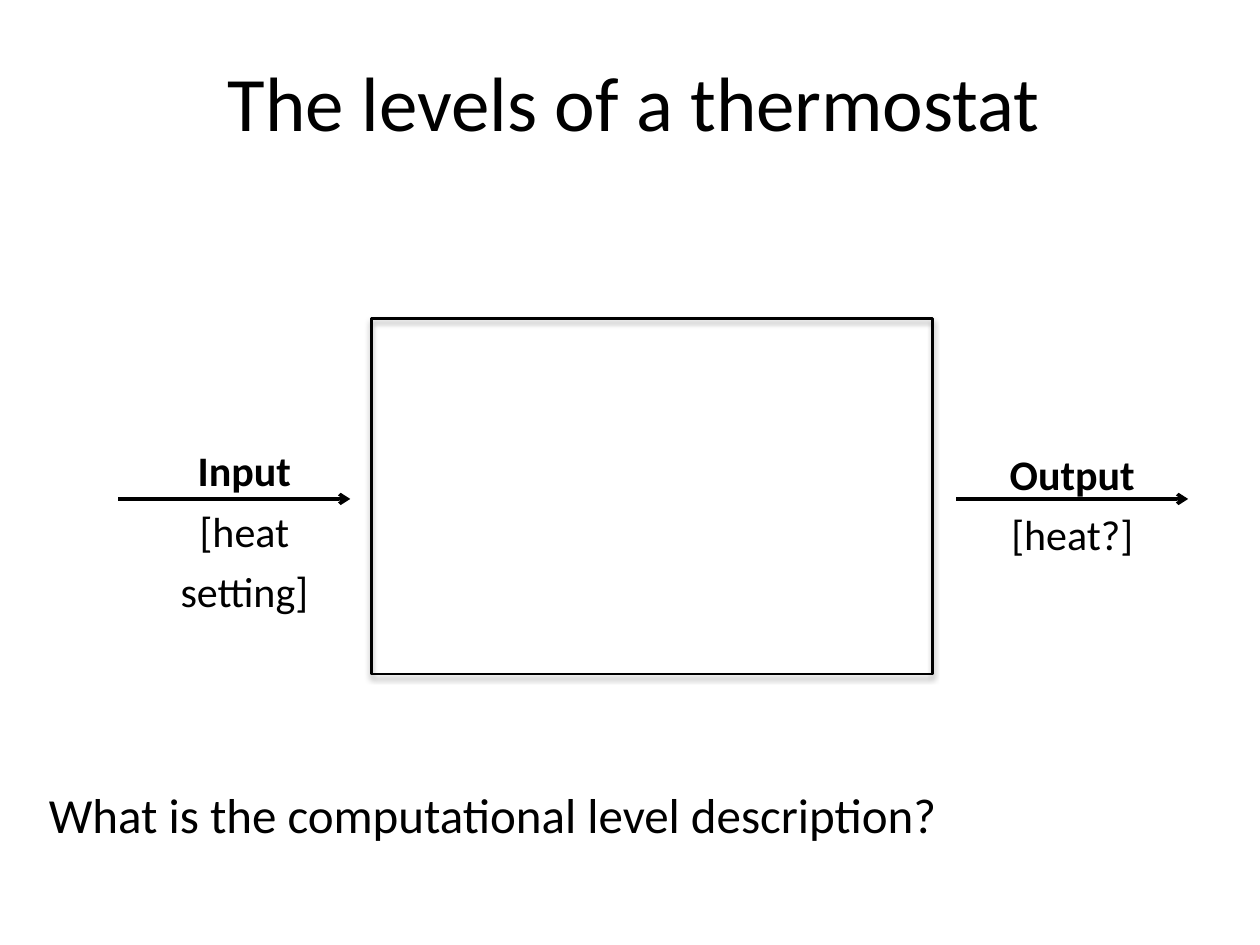
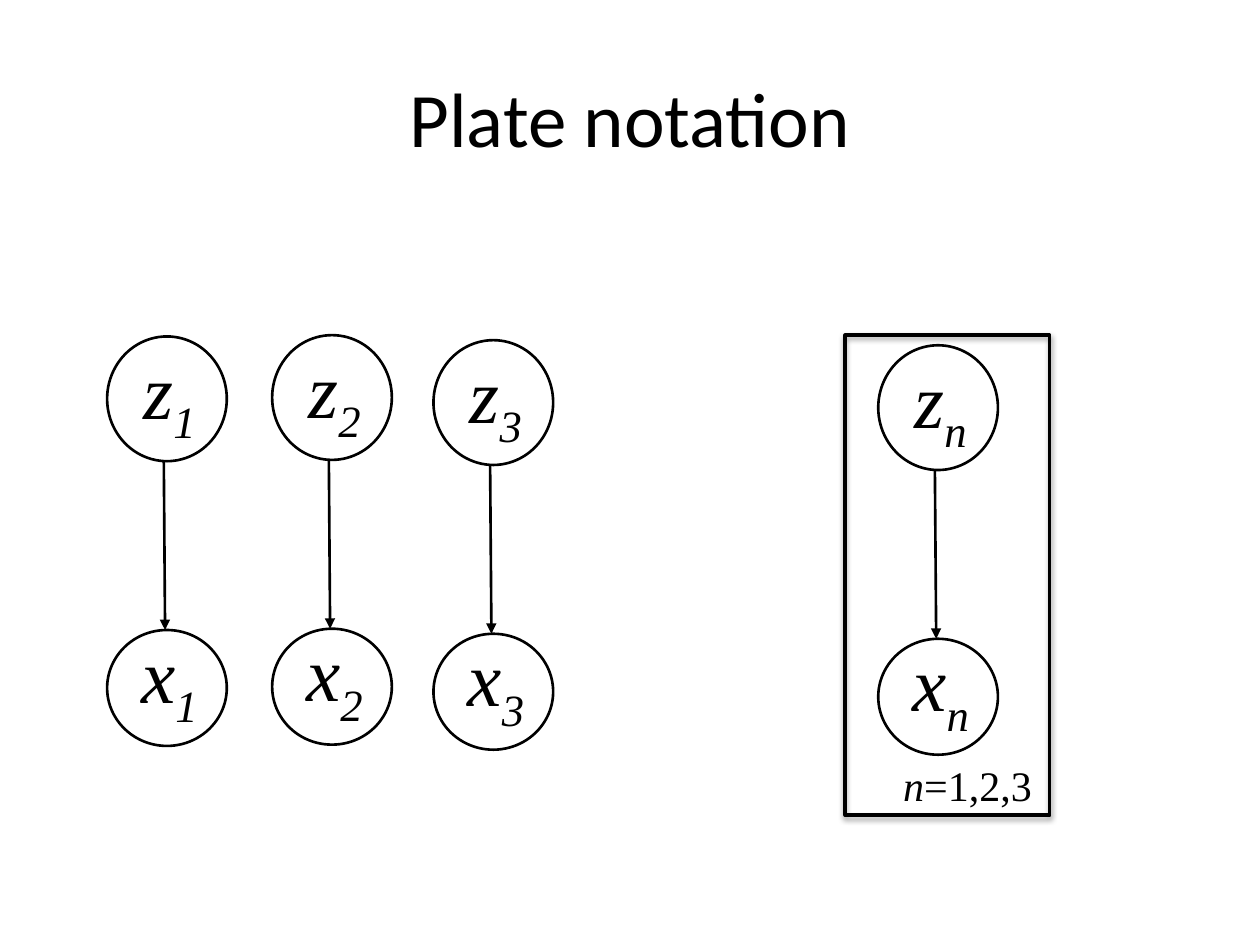
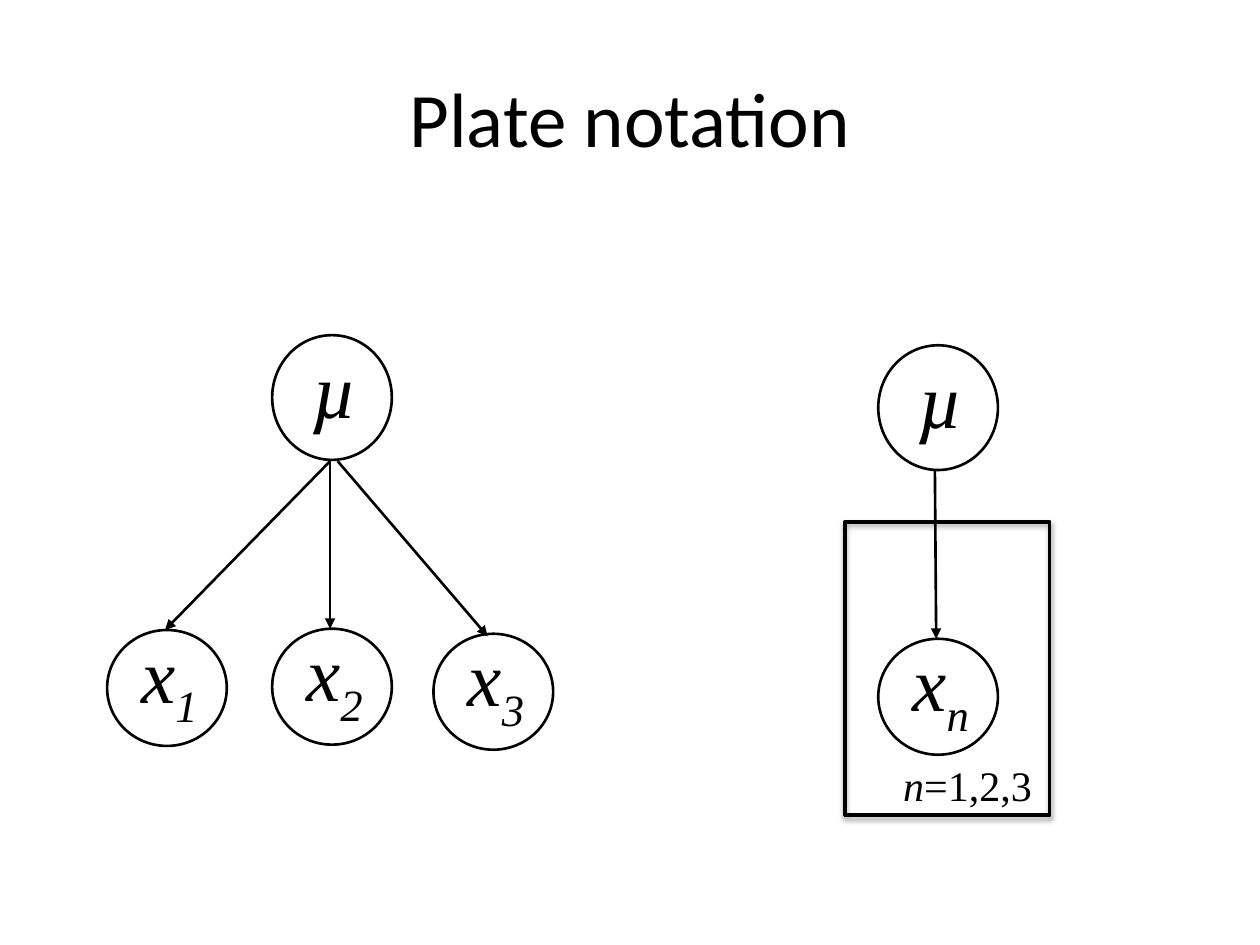
import pptx
import pptx.dml.color
import pptx.enum.shapes
import pptx.enum.text
import pptx.oxml
import pptx.oxml.ns
import pptx.util

COLUMNS, ROWS = 10, 7.5
INK = "000000"
SANS, SERIF = "Calibri", "Times New Roman"
CENTER = pptx.enum.text.PP_ALIGN.CENTER
LEFT = pptx.enum.text.PP_ALIGN.LEFT

# Graph nodes: each row is (vertical offset within a chain, height)
NODE_WIDTH = 0.95
PARENT, CHILD = (0, 0.99), (2.33, 0.92)
CHAINS = [("1", 0.85, 2.67), ("2", 2.16, 2.66), ("3", 3.44, 2.7)]
PLATE_CHAIN = (6.97, 2.74)

deck = pptx.Presentation()
deck.slide_width = pptx.util.Inches(10)
deck.slide_height = pptx.util.Inches(7.5)


def across(columns):
    return round(deck.slide_width * columns / COLUMNS)


def down(rows):
    return round(deck.slide_height * rows / ROWS)


def area(left, top, width, height):
    return across(left), down(top), across(width), down(height)


def color(hex_code):
    return pptx.dml.color.RGBColor.from_string(hex_code)


def add_xml(parent, tag, content="", **attributes):
    listed = "".join(f' {key}="{value}"' for key, value in attributes.items())
    namespace = pptx.oxml.ns.nsdecls("a")
    parent.append(pptx.oxml.parse_xml(
        f"<a:{tag} {namespace}{listed}>{content}</a:{tag}>"))


def ink_line(shape, weight):
    shape.line.color.rgb = color(INK)
    shape.line.width = pptx.util.Pt(weight)


def outline(shapes, kind, box, weight):
    """Unfilled shape with a black outline."""
    shape = shapes.add_shape(kind, *area(*box))
    shape.shadow.inherit = False
    shape.fill.background()
    ink_line(shape, weight)
    return shape


def frame(shapes, box, weight):
    """Rectangle with a soft shadow below."""
    rectangle = outline(shapes, pptx.enum.shapes.MSO_SHAPE.RECTANGLE, box, weight)
    effects = rectangle._element.spPr.find(pptx.oxml.ns.qn("a:effectLst"))
    add_xml(effects, "outerShdw",
            f'<a:srgbClr val="{INK}"><a:alpha val="35000"/></a:srgbClr>',
            blurRad=40000, dist=23000, dir=5400000, rotWithShape=0)


def arrow(shapes, start, end, weight=1.5, head="triangle"):
    connector = shapes.add_connector(
        pptx.enum.shapes.MSO_CONNECTOR.STRAIGHT,
        across(start[0]), down(start[1]), across(end[0]), down(end[1]))
    ink_line(connector, weight)
    add_xml(connector.line._get_or_add_ln(), "tailEnd", type=head)
    add_xml(connector._element.spPr, "effectLst")


def text_frame(shapes, box, wrap=True):
    frame_of_text = shapes.add_textbox(*area(*box)).text_frame
    frame_of_text.word_wrap = wrap
    return frame_of_text


def style(paragraph, size, font=SANS, align=LEFT, bold=False, italic=False):
    paragraph.alignment = align
    paragraph.font.size = pptx.util.Pt(size)
    paragraph.font.name = font
    paragraph.font.bold = bold
    paragraph.font.italic = italic
    paragraph.font.color.rgb = color(INK)


def titled_slide(title, box=(0.5, 0.3, 9, 1.25)):
    slide = deck.slides.add_slide(deck.slide_layouts[6])
    heading = text_frame(slide.shapes, box)
    heading.vertical_anchor = pptx.enum.text.MSO_ANCHOR.MIDDLE
    heading.text = title
    style(heading.paragraphs[0], 44, align=CENTER)
    return slide.shapes


def port_label(shapes, box, name, value):
    """Bold port name above its bracketed value."""
    label = text_frame(shapes, box)
    label.text = f"{name}\n{value}"
    for paragraph, bold in zip(label.paragraphs, (True, False)):
        style(paragraph, 24, align=CENTER, bold=bold)
        paragraph.line_spacing = 1.2


def node(shapes, left, top, row, symbol, index=""):
    """Circled variable with an optional subscript."""
    offset, height = row
    outline(shapes, pptx.enum.shapes.MSO_SHAPE.OVAL,
            (left, top + offset, NODE_WIDTH, height), 1.5)
    lift = 0.08 if row == CHILD else 0
    label = text_frame(shapes, (left + 0.15, top + offset - lift, 0.69, 0.84), wrap=False)
    variable = label.paragraphs[0]
    variable.add_run().text = symbol
    if index:
        subscript = variable.add_run()
        subscript.text = index
        subscript.font._element.set("baseline", "-25000")
    style(variable, 44, SERIF, CENTER, italic=True)


def chain(slide_shapes, left, top, parent, child):
    """Grouped parent and child nodes joined by an arrow."""
    shapes = slide_shapes.add_group_shape().shapes
    node(shapes, left, top, PARENT, *parent)
    node(shapes, left, top, CHILD, *child)
    arrow(shapes, (left + 0.45, top + PARENT[1]), (left + 0.46, top + CHILD[0]))


def plate(shapes, top, parent):
    """Chain for index n, with the repeated part framed from the given row."""
    chain(shapes, *PLATE_CHAIN, parent, "xn")
    frame(shapes, (6.71, top, 1.62, 6.47 - top), 2.25)
    count = text_frame(shapes, (7.07, 5.98, 1.23, 0.5), wrap=False).paragraphs[0]
    index = count.add_run()
    index.text = "n"
    index.font.italic = True
    count.add_run().text = "=1,2,3"
    style(count, 24, SERIF)


def thermostat_slide():
    shapes = titled_slide("The levels of a thermostat", (0.2, 0.17, 9.67, 1.25))
    port_label(shapes, (1.02, 3.4, 1.84, 1.54), "Input", "[heat setting]")
    frame(shapes, (2.95, 2.53, 4.45, 2.82), 1.5)
    for start in (0.94, 7.59):
        arrow(shapes, (start, 3.96), (start + 1.84, 3.96), 2, "arrow")
    port_label(shapes, (7.59, 3.43, 1.84, 1.06), "Output", "[heat?]")
    question = text_frame(shapes, (0.29, 6.18, 7.3, 0.57))
    question.text = "What is the computational level description?"
    style(question.paragraphs[0], 28)


def separate_parents_slide():
    shapes = titled_slide("Plate notation")
    for index, left, top in CHAINS:
        chain(shapes, left, top, "z" + index, "x" + index)
    plate(shapes, 2.66, "zn")


def shared_parent_slide():
    shapes = titled_slide("Plate notation")
    node(shapes, *CHAINS[1][1:], PARENT, "µ")
    for index, left, top in CHAINS:
        node(shapes, left, top, CHILD, "x", index)
    # Arrows fan out from the shared parent
    for start, end in (((2.62, 3.66), (1.31, 5)),
                       ((2.62, 3.65), (2.62, 4.99)),
                       ((2.68, 3.66), (3.87, 5.05))):
        arrow(shapes, start, end)
    plate(shapes, 4.14, "µ")


def main():
    thermostat_slide()
    separate_parents_slide()
    shared_parent_slide()
    deck.save("out.pptx")


if __name__ == "__main__":
    main()
